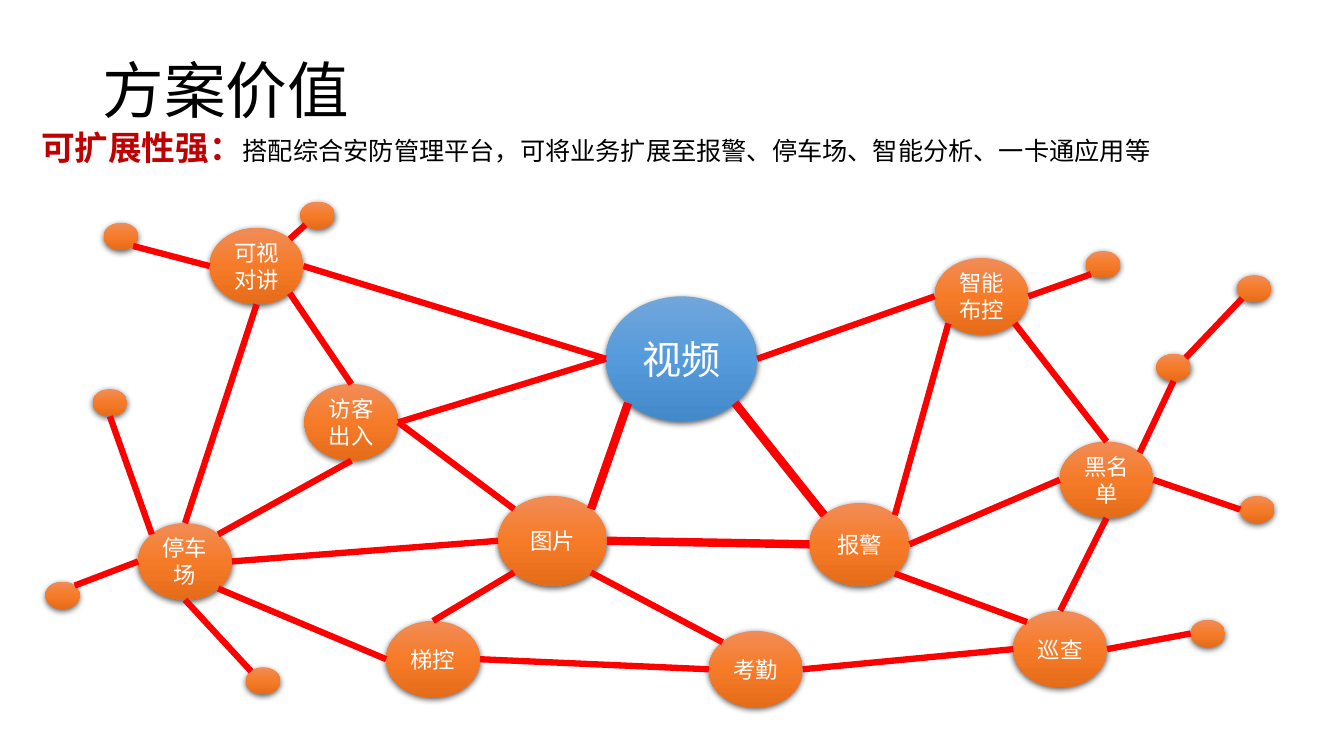
from math import cos, radians, sin
from copy import deepcopy

from lxml import etree
from pptx import Presentation
from pptx.dml.color import RGBColor
from pptx.enum.shapes import MSO_CONNECTOR, MSO_SHAPE
from pptx.enum.text import MSO_ANCHOR, PP_ALIGN
from pptx.oxml.ns import qn
from pptx.util import Inches, Pt

OVAL, STRAIGHT = MSO_SHAPE.OVAL, MSO_CONNECTOR.STRAIGHT
CENTER, MIDDLE = PP_ALIGN.CENTER, MSO_ANCHOR.MIDDLE
FONT = "Noto Sans CJK SC"
BLACK = RGBColor(0x00, 0x00, 0x00)
WHITE = RGBColor(0xFF, 0xFF, 0xFF)
RED = RGBColor(0xFF, 0x00, 0x00)
DARK_RED = RGBColor(0xC0, 0x00, 0x00)
ORANGES = [RGBColor(0xF1, 0x8C, 0x57), RGBColor(0xF6, 0x7B, 0x28), RGBColor(0xE5, 0x6C, 0x19)]
BLUES = [RGBColor(0x71, 0xA6, 0xDB), RGBColor(0x55, 0x9B, 0xDB), RGBColor(0x44, 0x8A, 0xCA)]

# Content
TITLE = "方案价值"
LEAD = "可扩展性强："
DETAIL = "搭配综合安防管理平台，可将业务扩展至报警、停车场、智能分析、一卡通应用等"

NODE_SIZE, DOT_SIZE = (0.93, 0.76), (0.34, 0.27)
HUB = "视频"
SPECIAL_SIZES = {HUB: (1.5, 1.24), "图片": (1.08, 0.89), "报警": (0.99, 0.82)}
NODES = {  # label: left, top
    "可视对讲": (2.08, 2.26), "访客出入": (3.02, 3.81), "停车场": (1.37, 5.19),
    "黑名单": (10.51, 4.38), "巡查": (10.05, 6.06), "梯控": (3.83, 6.16),
    "考勤": (7.03, 6.26), "智能布控": (9.27, 2.56), "图片": (4.94, 4.92),
    HUB: (6.01, 2.94), "报警": (8.03, 4.99),
}

# Links: from, compass side, to, compass side
MAIN_LINKS = [
    (HUB, "SW", "图片", "NE"), (HUB, "SE", "报警", "NW"), ("图片", "E", "报警", "W"),
]
LINKS = [
    ("可视对讲", "SE", "访客出入", "N"), ("访客出入", "S", "停车场", "NE"),
    ("可视对讲", "S", "停车场", "N"), ("停车场", "SE", "梯控", "W"),
    ("梯控", "E", "考勤", "W"), ("考勤", "E", "巡查", "W"),
    ("巡查", "N", "黑名单", "S"), ("黑名单", "N", "智能布控", "SE"),
    ("智能布控", "W", HUB, "E"), ("报警", "E", "黑名单", "W"),
    ("报警", "SE", "巡查", "NW"), ("图片", "SE", "考勤", "NW"),
    ("图片", "W", "停车场", "E"), ("图片", "SW", "梯控", "N"),
    ("可视对讲", "E", HUB, "W"), ("访客出入", "E", HUB, "W"),
    ("访客出入", "E", "图片", "NW"), ("智能布控", "SW", "报警", "NE"),
]
BRANCHES = [  # dot left, top, then its link: parent, side, side of the dot
    ((10.77, 2.49), "智能布控", "E", "SW"), ((11.47, 3.51), "黑名单", "NE", "S"),
    ((11.81, 6.15), "巡查", "E", "W"), ((2.44, 6.62), "停车场", "S", "NW"),
    ((2.98, 2.0), "可视对讲", "NE", "SW"), ((1.03, 2.21), "可视对讲", "W", "SE"),
    ((0.92, 3.86), "停车场", "NW", "S"), ((0.45, 5.77), "停车场", "W", "NE"),
    ((12.27, 2.73), (11.47, 3.51), "NE", "SW"), ((12.3, 4.92), "黑名单", "E", "W"),
]
SIDES = {side: radians(45 * i) for i, side in
         enumerate(("E", "SE", "S", "SW", "W", "NW", "N", "NE"))}

prs = Presentation()
prs.slide_width, prs.slide_height = Inches(13.33), Inches(7.5)
slide = prs.slides.add_slide(prs.slide_layouts[6])


def set_font(paragraph, size=None, color=None):
    font = paragraph.font
    font.name = FONT
    if size:
        font.size = Pt(size)
        font.color.rgb = color
    defaults = paragraph._p.pPr.find(qn("a:defRPr"))
    etree.SubElement(defaults, qn("a:ea"), typeface=FONT)


def add_text_box(left, top, width, height):
    frame = slide.shapes.add_textbox(*map(Inches, (left, top, width, height))).text_frame
    frame.word_wrap = True
    return frame


def add_shadow(shape):
    shape.shadow.inherit = False
    effects = shape._element.spPr.find(qn("a:effectLst"))
    shadow = etree.SubElement(effects, qn("a:outerShdw"), blurRad=str(Pt(4.5)),
                              dist=str(Pt(1.5)), dir="5400000", algn="ctr", rotWithShape="0")
    color = etree.SubElement(shadow, qn("a:srgbClr"), val="000000")
    etree.SubElement(color, qn("a:alpha"), val="63000")


def add_oval(box, colors, label="", size=16):
    oval = network.shapes.add_shape(OVAL, *map(Inches, box))
    oval.fill.gradient()
    oval.fill.gradient_angle = 270
    stops = oval._element.spPr.find(qn("a:gradFill")).find(qn("a:gsLst"))
    stops.insert(1, deepcopy(stops[0]))
    for i, (stop, color) in enumerate(zip(oval.fill.gradient_stops, colors)):
        stop.position = i / 2
        stop.color.rgb = color
    oval.line.fill.background()
    add_shadow(oval)
    if label:
        oval.text_frame.word_wrap = True
        oval.text_frame.vertical_anchor = MIDDLE
        paragraph = oval.text_frame.paragraphs[0]
        paragraph.text = label
        paragraph.alignment = CENTER
        set_font(paragraph, size, WHITE)


def edge_point(key, side):
    left, top, width, height = boxes[key]
    angle = SIDES[side]
    return (Inches(left + width / 2 * (1 + cos(angle))),
            Inches(top + height / 2 * (1 + sin(angle))))


def add_links(links, weight):
    for start, start_side, end, end_side in links:
        link = network.shapes.add_connector(
            STRAIGHT, *edge_point(start, start_side), *edge_point(end, end_side))
        link.line.color.rgb = RED
        link.line.width = Pt(weight)
        etree.SubElement(link._element.spPr, qn("a:effectLst"))


# Title
title = add_text_box(0.92, 0.2, 11.5, 1.45)
title.vertical_anchor = MIDDLE
title.paragraphs[0].text = TITLE
title.paragraphs[0].line_spacing = 0.9
set_font(title.paragraphs[0], 44, BLACK)

# Network: boxes are keyed by node label or by dot position
boxes = {label: place + SPECIAL_SIZES.get(label, NODE_SIZE) for label, place in NODES.items()}
boxes.update({place: place + DOT_SIZE for place, *_ in BRANCHES})
network = slide.shapes.add_group_shape()
for label in NODES:
    if label == HUB:
        add_oval(boxes[label], BLUES, label, 28)
    else:
        add_oval(boxes[label], ORANGES, label)
add_links(MAIN_LINKS, 6)
add_links(LINKS, 4.5)
for place, *_ in BRANCHES:
    add_oval(boxes[place], ORANGES)
add_links([(parent, side, place, dot_side) for place, parent, side, dot_side in BRANCHES], 4.5)

# Summary line
summary = add_text_box(0.31, 1.21, 12.17, 0.5).paragraphs[0]
for text, size, color, bold in ((LEAD, 24, DARK_RED, True), (DETAIL, 18, BLACK, False)):
    run = summary.add_run()
    run.text = text
    run.font.size, run.font.bold = Pt(size), bold
    run.font.color.rgb = color
set_font(summary)

prs.save("out.pptx")
